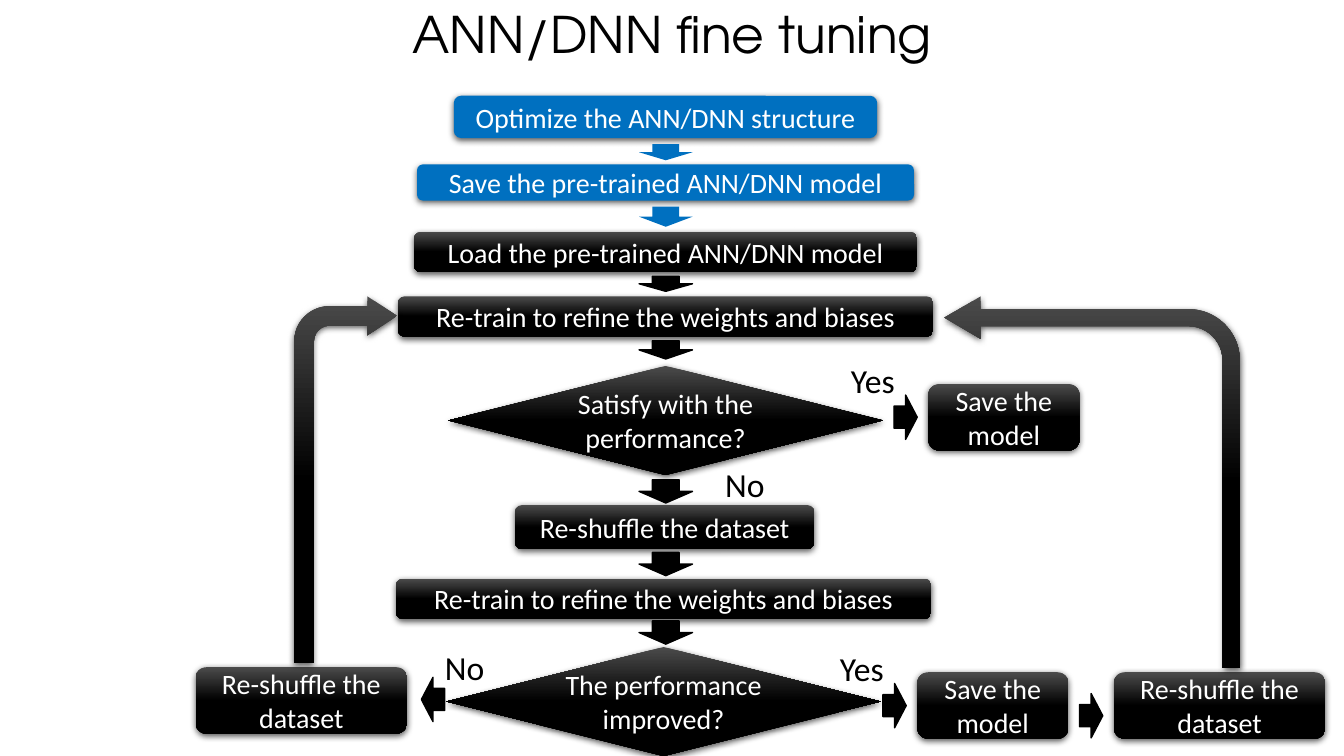
from pptx import Presentation
from pptx.dml.color import RGBColor
from pptx.enum.shapes import MSO_SHAPE
from pptx.enum.text import MSO_ANCHOR, PP_ALIGN
from pptx.oxml import parse_xml
from pptx.oxml.ns import nsdecls, qn
from pptx.util import Pt

THEME = {
    "blue": RGBColor(0x00, 0x70, 0xC0),
    "black": RGBColor(0x00, 0x00, 0x00),
    "gray": RGBColor(0x4B, 0x4B, 0x4B),
    "white": RGBColor(0xFF, 0xFF, 0xFF),
    "body_font": "Calibri",
    "title_font": "TeX Gyre Adventor",
    "title": 36,
    "label": 24,
    "box": 20,
}
ROUND, DIAMOND = MSO_SHAPE.ROUNDED_RECTANGLE, MSO_SHAPE.FLOWCHART_DECISION
RIGHT, LEFT = MSO_SHAPE.RIGHT_ARROW, MSO_SHAPE.LEFT_ARROW

TITLE = ("ANN/DNN fine tuning", 66.2, 0, 828, 52.6)

# text, kind, fill, centre x, top, width, height
STEPS = [
    ("Optimize the ANN/DNN structure", ROUND, "blue", 475.4, 68.4, 302.4, 30.2),
    ("Save the pre-trained ANN/DNN model", ROUND, "blue", 475.4, 117.4, 355, 25.9),
    ("Load the pre-trained ANN/DNN model", ROUND, "shade", 475.4, 165.6, 359.3, 28.8),
    ("Re-train to refine the weights and biases", ROUND, "shade", 475.4, 211.7, 382.3, 28.8),
    ("Satisfy with the performance?", DIAMOND, "shade", 475.4, 261.4, 310.3, 77.8),
    ("Re-shuffle the dataset", ROUND, "shade", 474.8, 360.7, 213.8, 31.7),
    ("Re-train to refine the weights and biases", ROUND, "shade", 474, 413.3, 382.3, 28.8),
    ("The performance improved?", DIAMOND, "shade", 474, 462.2, 310.3, 77.8),
]
DOWN_X, DOWN_W = 456.5, 38.2
DOWN_ARROWS = [
    ("blue", 103, 11.5), ("blue", 147.6, 14.4), ("black", 197.3, 10.8),
    ("black", 243.4, 13), ("black", 342.7, 16.6), ("black", 394.6, 16.6),
    ("black", 443.5, 16.6),
]
SIDE_H = 47.5
SIDE_BOXES = [
    ("Save the model", 663.1, 274.3, 108),
    ("Save the model", 655.2, 480.2, 108),
    ("Re-shuffle the dataset", 795.6, 480.2, 151.2),
    ("Re-shuffle the dataset", 139.7, 476.6, 151.2),
]
SIDE_ARROW = (16.6, 31.7)
SIDE_ARROWS = [
    (RIGHT, 638.6, 282.2), (LEFT, 301, 483.8),
    (RIGHT, 630.7, 488.2), (RIGHT, 771.1, 495.4),
]
LABELS = [
    ("Yes", 600.5, 253.4, 46), ("No", 510.5, 327.6, 43.2),
    ("Yes", 592.6, 459.4, 46), ("No", 310.3, 458.6, 43.2),
]
LOOPS = [
    ((674.6, 211.7, 211, 265.7), (0.058, 0.072, 0.123, 0.174), True),
    ((210.2, 211.7, 73.4, 262.1), (0.191, 0.19, 0.289, 0.344), False),
]


def write(sp, text, size="box", color="white", font="body_font",
          anchor=MSO_ANCHOR.MIDDLE, wrap=True, spacing=None):
    tf = sp.text_frame
    tf.word_wrap = wrap
    tf.vertical_anchor = anchor
    p = tf.paragraphs[0]
    p.alignment = PP_ALIGN.CENTER
    if spacing:
        p.line_spacing = spacing
    r = p.add_run()
    r.text = text
    r.font.size = Pt(THEME[size])
    r.font.name = THEME[font]
    r.font.color.rgb = THEME[color]


def add_textbox(s, text, *box, **fmt):
    write(s.shapes.add_textbox(*map(Pt, box)), text, **fmt)


def add_shadow(sp):
    sp._element.spPr.find(qn("a:effectLst")).append(parse_xml(
        f'<a:outerShdw {nsdecls("a")} blurRad="57150" dist="19050" dir="5400000" '
        'algn="ctr" rotWithShape="0"><a:srgbClr val="000000">'
        '<a:alpha val="63000"/></a:srgbClr></a:outerShdw>'))


def add_block(s, kind, *box, fill="shade", shadow=True):
    sp = s.shapes.add_shape(kind, *map(Pt, box))
    sp.shadow.inherit = False
    if fill == "shade":
        sp.fill.gradient()
        sp.fill.gradient_angle = 270
        for stop, color, position in zip(sp.fill.gradient_stops, ("gray", "black"), (0, 0.5)):
            stop.color.rgb = THEME[color]
            stop.position = position
    else:
        sp.fill.solid()
        sp.fill.fore_color.rgb = THEME[fill]
    if fill == "black":
        sp.line.color.rgb = THEME["black"]
        sp.line.width = Pt(1)
    else:
        sp.line.fill.background()
    if shadow:
        add_shadow(sp)
    return sp


def main():
    prs = Presentation()
    prs.slide_width, prs.slide_height = Pt(960), Pt(540)
    s = prs.slides.add_slide(prs.slide_layouts[6])

    add_textbox(s, *TITLE, size="title", color="black", font="title_font", spacing=0.9)
    for text, kind, fill, cx, top, w, h in STEPS:
        write(add_block(s, kind, cx - w / 2, top, w, h, fill=fill), text)
    for fill, top, h in DOWN_ARROWS:
        add_block(s, MSO_SHAPE.DOWN_ARROW, DOWN_X, top, DOWN_W, h, fill=fill, shadow=False)
    for text, x, y, w in SIDE_BOXES:
        write(add_block(s, ROUND, x, y, w, SIDE_H), text)
    for kind, x, y in SIDE_ARROWS:
        add_block(s, kind, x, y, *SIDE_ARROW, fill="black", shadow=False)
    for box, adjustments, flipped in LOOPS:
        sp = add_block(s, MSO_SHAPE.BENT_ARROW, *box)
        for i, value in enumerate(adjustments):
            sp.adjustments[i] = value
        if flipped:
            sp._element.spPr.find(qn("a:xfrm")).set("flipH", "1")
    for text, x, y, w in LABELS:
        add_textbox(s, text, x, y, w, 36, size="label", color="black",
                    anchor=MSO_ANCHOR.TOP, wrap=False)

    prs.save("out.pptx")


if __name__ == "__main__":
    main()
